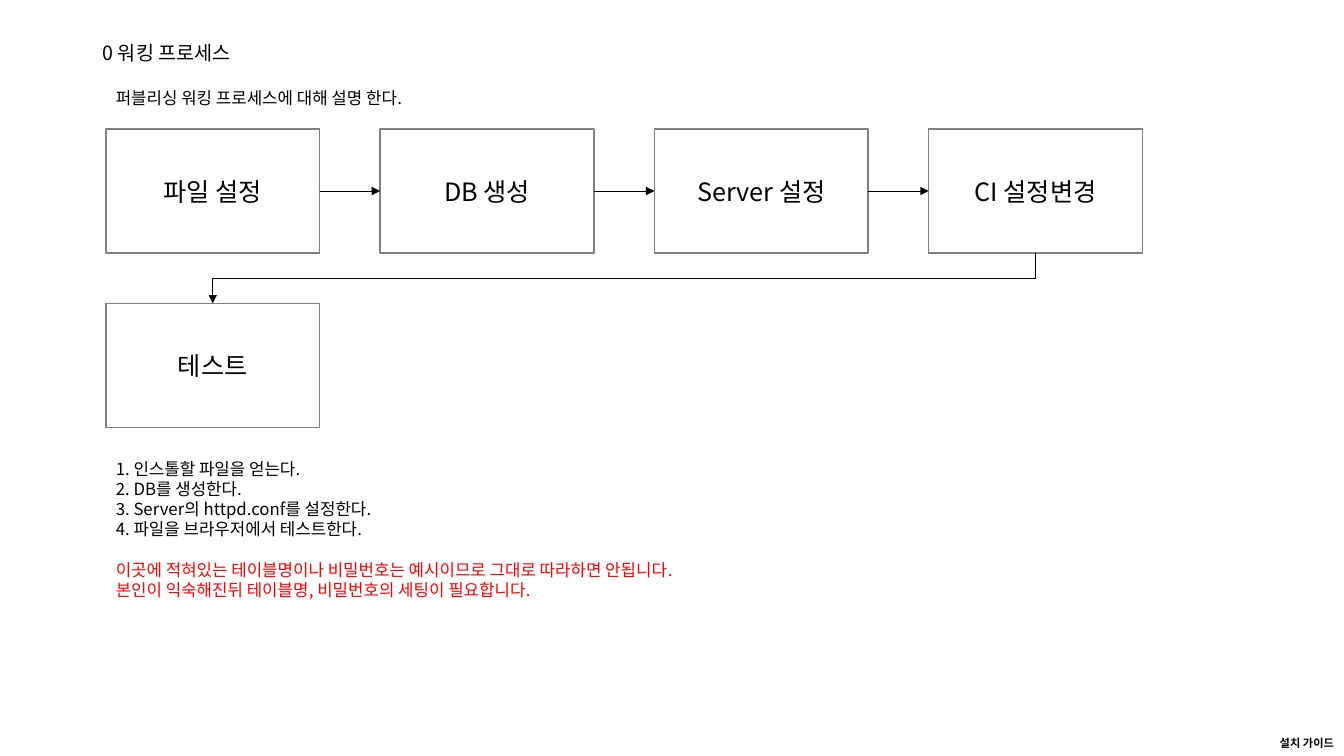
from lxml import etree
from pptx import Presentation
from pptx.dml.color import RGBColor
from pptx.enum.shapes import MSO_CONNECTOR, MSO_SHAPE
from pptx.enum.text import MSO_ANCHOR, PP_ALIGN
from pptx.oxml.ns import qn
from pptx.util import Inches, Pt

STRAIGHT, ELBOW = MSO_CONNECTOR.STRAIGHT, MSO_CONNECTOR.ELBOW
RECTANGLE = MSO_SHAPE.RECTANGLE
TOP, MIDDLE = MSO_ANCHOR.TOP, MSO_ANCHOR.MIDDLE
LEFT, CENTER, RIGHT = PP_ALIGN.LEFT, PP_ALIGN.CENTER, PP_ALIGN.RIGHT

COLORS = {"text": "000000", "warning": "FF0000", "border": "808080", "fill": "FFFFFF"}
FONT = "Noto Sans CJK KR"
PAGE_WIDTH, PAGE_HEIGHT = 13.33, 7.5
MARGIN = 1.05
STEP_WIDTH, STEP_HEIGHT = 2.12, 1.23
COLUMN_GAP, ROW_GAP = 0.6, 0.5
COLUMNS = 4
FLOW_WIDTH = COLUMNS * STEP_WIDTH + (COLUMNS - 1) * COLUMN_GAP

STEPS = ["파일 설정", "DB 생성", "Server 설정", "CI 설정변경", "테스트"]
INSTRUCTIONS = [
    "1. 인스톨할 파일을 얻는다.",
    "2. DB를 생성한다.",
    "3. Server의 httpd.conf를 설정한다.",
    "4. 파일을 브라우저에서 테스트한다.",
]
WARNINGS = [
    "이곳에 적혀있는 테이블명이나 비밀번호는 예시이므로 그대로 따라하면 안됩니다.",
    "본인이 익숙해진뒤 테이블명, 비밀번호의 세팅이 필요합니다.",
]


def color(name):
    return RGBColor.from_string(COLORS[name])


def format_para(para, size, align=LEFT, color_name="text", bold=False):
    para.alignment = align
    for span in para.runs:
        span.font.size = Pt(size)
        span.font.name = FONT
        span.font.bold = bold
        span.font.color.rgb = color(color_name)
        east_asian = etree.SubElement(span.font._element, qn("a:ea"))
        east_asian.set("typeface", FONT)


def add_text(slide, box, text, size, align=LEFT, anchor=TOP, bold=False, wrap=True):
    frame = slide.shapes.add_textbox(*map(Inches, box)).text_frame
    frame.word_wrap = wrap
    frame.vertical_anchor = anchor
    frame.text = text
    for para in frame.paragraphs:
        format_para(para, size, align, bold=bold)
    return frame


def add_step(slide, box, label):
    step = slide.shapes.add_shape(RECTANGLE, *map(Inches, box))
    step.shadow.inherit = False
    step.fill.solid()
    step.fill.fore_color.rgb = color("fill")
    step.line.color.rgb = color("border")
    step.line.width = Pt(1)
    step.text_frame.text = label
    step.text_frame.vertical_anchor = MIDDLE
    format_para(step.text_frame.paragraphs[0], 18, CENTER)
    return step


def add_arrow(slide, kind, begin, end):
    arrow = slide.shapes.add_connector(kind, *begin, *end)
    arrow.line.color.rgb = color("text")
    arrow.line.width = Pt(0.5)
    outline = arrow.line._get_or_add_ln()
    etree.SubElement(outline, qn("a:tailEnd")).set("type", "triangle")
    etree.SubElement(arrow._element.spPr, qn("a:effectLst"))
    return arrow


def join_across(slide, source, target):
    middle = source.top + source.height // 2
    arrow = add_arrow(slide, STRAIGHT, (source.left + source.width, middle), (target.left, middle))
    arrow.begin_connect(source, 3)
    arrow.end_connect(target, 1)


def join_next_row(slide, source, target):
    start_x = source.left + source.width // 2
    end_x = target.left + target.width // 2
    start_y = source.top + source.height
    center_x, center_y = (start_x + end_x) // 2, (start_y + target.top) // 2
    half_run, half_drop = (start_x - end_x) // 2, (target.top - start_y) // 2
    arrow = add_arrow(
        slide, ELBOW,
        (center_x - half_drop, center_y - half_run),
        (center_x + half_drop, center_y + half_run),
    )
    arrow._element.spPr.find(qn("a:xfrm")).set("rot", str(90 * 60000))


def add_process(slide, box):
    left, top, width, height = box
    column_step = (width + COLUMN_GAP) / COLUMNS
    row_step = (height + ROW_GAP) / 2
    steps = []
    for index, label in enumerate(STEPS):
        row, column = divmod(index, COLUMNS)
        step_box = (left + column * column_step, top + row * row_step,
                    column_step - COLUMN_GAP, row_step - ROW_GAP)
        steps.append(add_step(slide, step_box, label))
    for source, target in zip(steps, steps[1:]):
        join = join_across if source.top == target.top else join_next_row
        join(slide, source, target)


def add_heading(slide, box):
    left, top, width, height = box
    title = add_text(slide, (left, top, width, 0.27), "0 워킹 프로세스", 14, anchor=MIDDLE)
    title.paragraphs[0].line_spacing = 0.9
    add_text(slide, (MARGIN, top + height - 0.3, 3.4, 0.3),
             "퍼블리싱 워킹 프로세스에 대해 설명 한다.", 12, wrap=False)


def add_notes_text(slide, box):
    frame = add_text(slide, box, "\n".join(INSTRUCTIONS), 12)
    for index, warning in enumerate(WARNINGS):
        para = frame.add_paragraph()
        para.text = warning
        format_para(para, 12, color_name="warning")
        if index == 0:
            para.space_before = Pt(14.5)


def add_footer(slide, box):
    add_text(slide, box, "설치 가이드", 8, RIGHT, bold=True)


def main():
    deck = Presentation()
    deck.slide_width, deck.slide_height = Inches(PAGE_WIDTH), Inches(PAGE_HEIGHT)
    page = deck.slides.add_slide(deck.slide_layouts[6])
    add_footer(page, (0, PAGE_HEIGHT - 0.24, PAGE_WIDTH, 0.24))
    add_heading(page, (0.92, 0.4, 11.5, 0.72))
    add_process(page, (MARGIN, 1.28, FLOW_WIDTH, 2 * STEP_HEIGHT + ROW_GAP))
    add_notes_text(page, (MARGIN, 4.5, FLOW_WIDTH, 1.51))
    deck.save("out.pptx")


if __name__ == "__main__":
    main()
